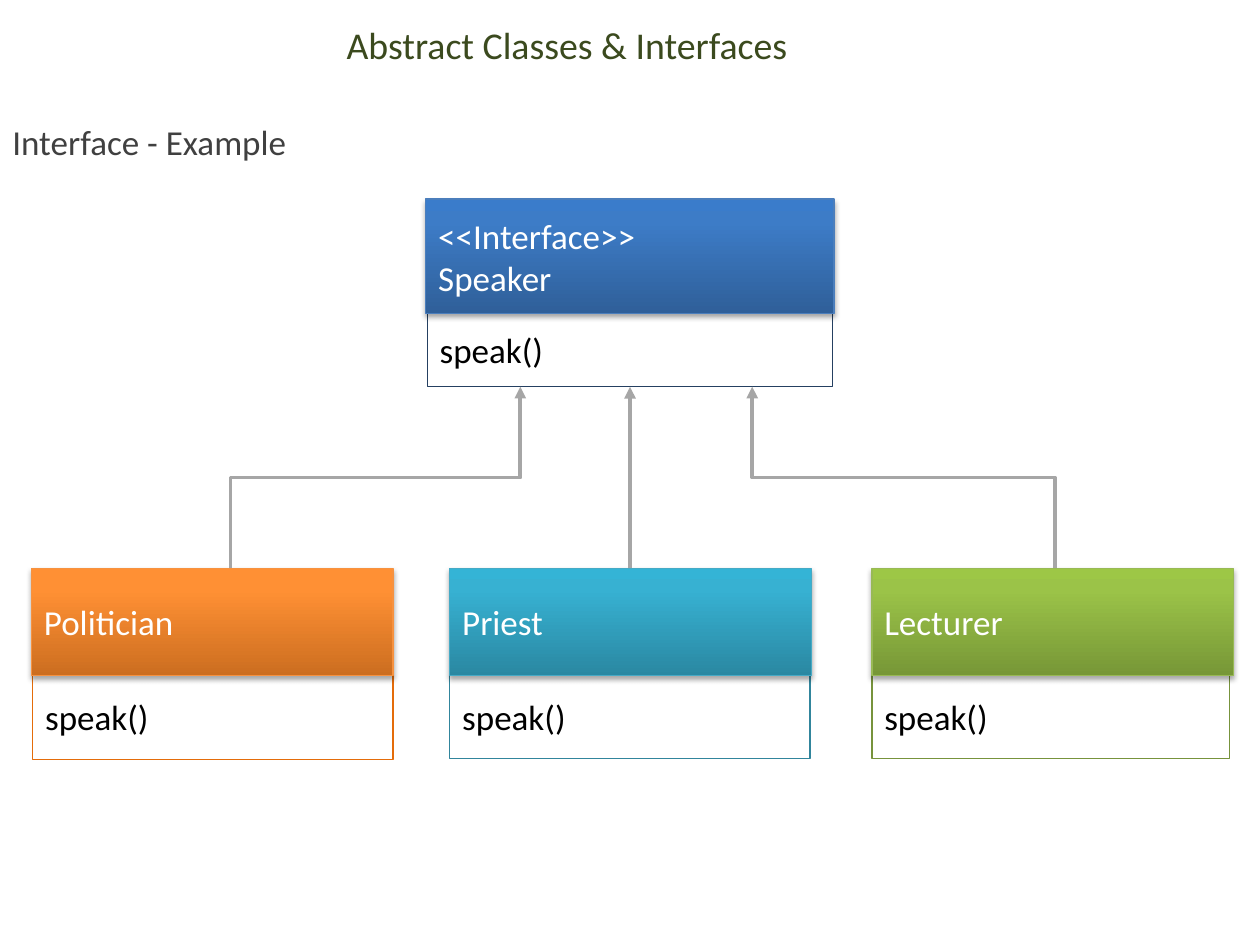
from copy import deepcopy

from lxml.etree import SubElement
from pptx import Presentation
from pptx.dml.color import RGBColor
from pptx.enum.shapes import MSO_CONNECTOR, MSO_SHAPE
from pptx.enum.text import MSO_ANCHOR, PP_ALIGN
from pptx.oxml.ns import qn
from pptx.util import Inches, Pt

COLORS = {
    "title": "3B4A1E", "subtitle": "404040", "arrow": "A6A6A6",
    "white": "FFFFFF", "black": "000000",
}
# Header gradient from bottom to top, header outline, method outline
THEMES = {
    "blue": (("2F5F99", "3D7CC7", "3A7CCB"), "4B7EBC", "254061"),
    "orange": (("CC6E20", "FF9034", "FF9136"), "F69240", "E46C0A"),
    "teal": (("2A88A2", "37B1D2", "34B4D6"), "46AAC5", "31859C"),
    "green": (("779737", "9BC348", "9DC746"), "98B955", "77933C"),
}
STOP_POSITIONS = (0, 0.8, 1)
CLASS_TOP, INTERFACE_BOTTOM = 4.51, 3.07


def rgb(value):
    return RGBColor.from_string(value)


def style_font(para, color, size=20):
    para.font.name = "Calibri"
    para.font.size = Pt(size)
    para.font.color.rgb = rgb(color)


def fill_gradient(shape, colors):
    shape.fill.gradient()
    shape.fill.gradient_angle = 90
    stop_list = shape._element.spPr.find(qn("a:gradFill")).find(qn("a:gsLst"))
    stop_list.append(deepcopy(stop_list[0]))
    for stop, position, color in zip(shape.fill.gradient_stops, STOP_POSITIONS, colors):
        stop.position = position
        stop.color.rgb = rgb(color)


def add_soft_shadow(shape):
    effects = shape._element.spPr.find(qn("a:effectLst"))
    shadow = SubElement(effects, qn("a:outerShdw"), blurRad=str(Pt(3.1)),
                        dist=str(Pt(1.8)), dir="5400000", rotWithShape="0")
    color = SubElement(shadow, qn("a:srgbClr"), val=COLORS["black"])
    SubElement(color, qn("a:alpha"), val="35000")


def add_box(shapes, bounds, lines, outline, text_color):
    box = shapes.add_shape(MSO_SHAPE.RECTANGLE, *map(Inches, bounds))
    box.line.color.rgb = rgb(outline)
    box.line.width = Pt(0.75)
    box.shadow.inherit = False
    frame = box.text_frame
    frame.word_wrap = False
    frame.vertical_anchor = MSO_ANCHOR.MIDDLE
    frame.text = "\n".join(lines)
    for para in frame.paragraphs:
        para.alignment = PP_ALIGN.LEFT
        style_font(para, text_color)
    return box


def add_class(shapes, lines, theme, header_bounds, method_bounds):
    gradient, header_outline, method_outline = THEMES[theme]
    method = add_box(shapes, method_bounds, ["speak()"], method_outline, COLORS["black"])
    method.fill.solid()
    method.fill.fore_color.rgb = rgb(COLORS["white"])
    header = add_box(shapes, header_bounds, lines, header_outline, COLORS["white"])
    fill_gradient(header, gradient)
    add_soft_shadow(header)


def add_arrow(page, start_x, end_x):
    """Draw an upward arrow from a class to the interface, bent if they are offset."""
    kind, rotation = MSO_CONNECTOR.STRAIGHT, 0
    ends = (start_x, CLASS_TOP, end_x, INTERFACE_BOTTOM)
    if start_x != end_x:
        # A vertical elbow is a horizontal one turned about its centre
        kind = MSO_CONNECTOR.ELBOW
        side = 1 if end_x > start_x else -1
        rotation = 90 if side > 0 else 270
        middle_x, middle_y = (start_x + end_x) / 2, (CLASS_TOP + INTERFACE_BOTTOM) / 2
        half_x = side * (CLASS_TOP - INTERFACE_BOTTOM) / 2
        half_y = abs(end_x - start_x) / 2
        ends = (middle_x + half_x, middle_y + half_y, middle_x - half_x, middle_y - half_y)
    arrow = page.shapes.add_connector(kind, *map(Inches, ends))
    properties = arrow._element.spPr
    if rotation:
        properties.find(qn("a:xfrm")).set("rot", str(rotation * 60000))
    arrow.line.color.rgb = rgb(COLORS["arrow"])
    arrow.line.width = Pt(2.25)
    SubElement(properties.find(qn("a:ln")), qn("a:tailEnd"), type="triangle")
    SubElement(properties, qn("a:effectLst"))


def add_title(page, text):
    title = page.shapes.title
    title.left, title.top, title.width, title.height = map(Inches, (0, 0.14, 9, 0.43))
    title.text_frame.text = text
    title.text_frame.vertical_anchor = MSO_ANCHOR.MIDDLE
    para = title.text_frame.paragraphs[0]
    para.alignment = PP_ALIGN.CENTER
    style_font(para, COLORS["title"], 21.6)


def add_subtitle(page, text):
    box = page.shapes.add_textbox(*map(Inches, (0, 0.74, 9.76, 0.54)))
    box.text_frame.word_wrap = True
    box.text_frame.text = text
    para = box.text_frame.paragraphs[0]
    para.line_spacing = 1.5
    style_font(para, COLORS["subtitle"])


def main():
    deck = Presentation()
    deck.slide_width, deck.slide_height = Inches(10), Inches(7.5)
    page = deck.slides.add_slide(deck.slide_layouts[5])

    # Headings
    add_title(page, "Abstract Classes & Interfaces")
    add_subtitle(page, "Interface - Example")

    # Interface
    add_class(page.shapes, ["<<Interface>>", "Speaker"], "blue",
              (3.38, 1.58, 3.24, 0.91), (3.39, 2.47, 3.22, 0.6))

    # Implementing classes: header left, method left, width and height
    classes = [
        ("Politician", "orange", 0.25, 0.26, 2.86, 0.68),
        ("Priest", "teal", 3.57, 3.57, 2.86, 0.67),
        ("Lecturer", "green", 6.92, 6.92, 2.84, 0.67),
    ]
    for name, theme, left, method_left, width, height in classes:
        group = page.shapes.add_group_shape()
        add_class(group.shapes, [name], theme, (left, CLASS_TOP, 2.87, 0.85),
                  (method_left, 5.35, width, height))

    # Arrows to the interface
    for start_x, end_x in ((1.83, 4.13), (8.37, 5.97), (5, 5)):
        add_arrow(page, start_x, end_x)

    deck.save("out.pptx")


if __name__ == "__main__":
    main()
